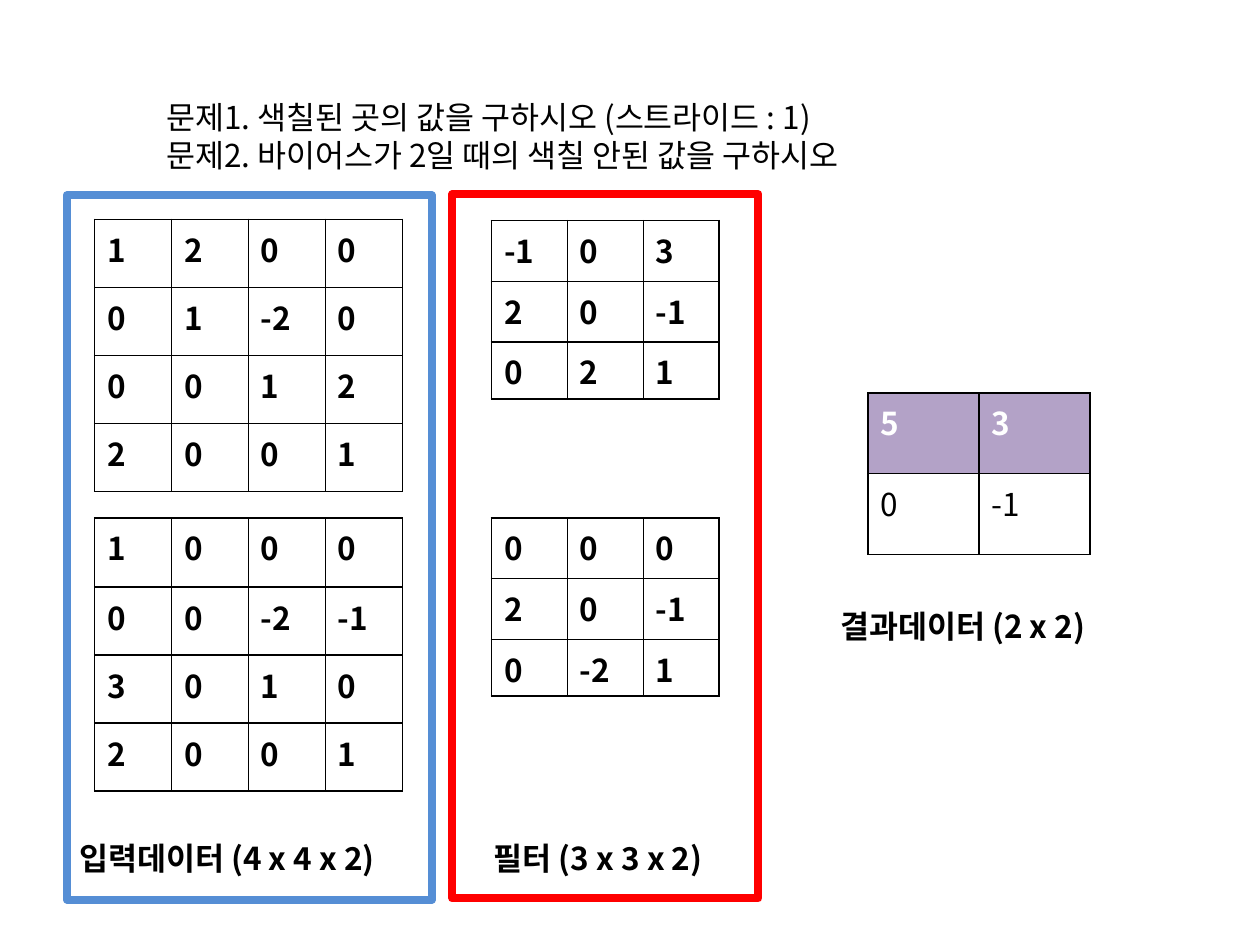
"""Build a convolution exercise slide with input, filter and result grids."""
from lxml import etree
from pptx import Presentation
from pptx.dml.color import RGBColor
from pptx.enum.shapes import MSO_SHAPE
from pptx.enum.text import MSO_AUTO_SIZE
from pptx.oxml.ns import qn
from pptx.util import Inches, Pt

RECTANGLE = MSO_SHAPE.RECTANGLE
GROW = MSO_AUTO_SIZE.SHAPE_TO_FIT_TEXT
FONT = "Noto Sans CJK KR"
BLACK, WHITE, PURPLE = "000000", "FFFFFF", "B3A2C7"
BLUE, RED = "558ED5", "FF0000"
BORDER = (
    '<a:{side} xmlns:a="http://schemas.openxmlformats.org/drawingml/2006/main" w="12700">'
    '<a:solidFill><a:srgbClr val="{color}"/></a:solidFill></a:{side}>'
)

deck = Presentation()
deck.slide_width, deck.slide_height = Inches(10), Inches(7.5)
UNIT = deck.slide_width // 100
page = deck.slides.add_slide(deck.slide_layouts[6])


def grid(*lengths):
    """Convert lengths in hundredths of the slide width."""
    return [round(UNIT * length) for length in lengths]


def format_text(frame, color, bold):
    """Give every run in a text frame the slide's typography."""
    for para in frame.paragraphs:
        for span in para.runs:
            span.font.name, span.font.size, span.font.bold = FONT, Pt(18), bold
            span.font.color.rgb = RGBColor.from_string(color)
            etree.SubElement(span.font._element, qn("a:ea"), typeface=FONT)


QUESTIONS = (
    "문제1. 색칠된 곳의 값을 구하시오 (스트라이드 : 1)\n"
    "문제2. 바이어스가 2일 때의 색칠 안된 값을 구하시오"
)
labels = [
    (QUESTIONS, (12.2, 7.3, 62.1, 13.1), False),
    ("입력데이터 (4 x 4 x 2)", (5.3, 66.1, 30.7, 4), True),
    ("필터 (3 x 3 x 2)", (38.2, 66.1, 23.6, 4), True),
    ("결과데이터 (2 x 2)", (65.7, 47.7, 23.6, 4), True),
]
for text, place, bold in labels:
    box = page.shapes.add_textbox(*grid(*place))
    box.text_frame.text = text
    box.text_frame.word_wrap = bold
    box.text_frame.auto_size = GROW
    format_text(box.text_frame, BLACK, bold)

INPUT_ROWS, FILTER_ROWS = (5.4,) * 4, (4.83, 4.83, 4.5)
matrices = [
    (7.5, 17.4, 6.11, INPUT_ROWS, ["1 2 0 0", "0 1 -2 0", "0 0 1 2", "2 0 0 1"]),
    (7.5, 41.1, 6.11, (5.5, *INPUT_ROWS[1:]), ["1 0 0 0", "0 0 -2 -1", "3 0 1 0", "2 0 0 1"]),
    (39, 17.5, 6.03, FILTER_ROWS, ["-1 0 3", "2 0 -1", "0 2 1"]),
    (39, 41.1, 6.03, FILTER_ROWS, ["0 0 0", "2 0 -1", "0 -2 1"]),
    (68.9, 31.2, 8.8, (6.4, 6.4), ["5 3", "0 -1"]),
]
for left, top, column_width, row_heights, lines in matrices:
    values = [line.split() for line in lines]
    count = len(values[0])
    is_result = count == 2
    place = grid(left, top, column_width * count, sum(row_heights))
    table = page.shapes.add_table(len(values), count, *place).table
    for column in table.columns:
        column.width = grid(column_width)[0]
    for row_index, row in enumerate(table.rows):
        row.height = grid(row_heights[row_index])[0]
        colored = is_result and row_index == 0
        for cell, value in zip(row.cells, values[row_index]):
            cell.text = value
            format_text(cell.text_frame, WHITE if colored else BLACK, colored or not is_result)
            if colored:
                cell.fill.solid()
                cell.fill.fore_color.rgb = RGBColor.from_string(PURPLE)
            else:
                cell.fill.background()
            properties = cell._tc.get_or_add_tcPr()
            for index, side in enumerate(("lnL", "lnR", "lnT", "lnB")):
                properties.insert(index, etree.fromstring(BORDER.format(side=side, color=BLACK)))

for place, color in [((5.3, 15.5, 29, 55.9), BLUE), ((35.9, 15.4, 24.3, 55.9), RED)]:
    frame = page.shapes.add_shape(RECTANGLE, *grid(*place))
    frame.shadow.inherit = False
    frame.fill.background()
    frame.line.color.rgb = RGBColor.from_string(color)
    frame.line.width = Pt(4.5)

deck.save("out.pptx")
